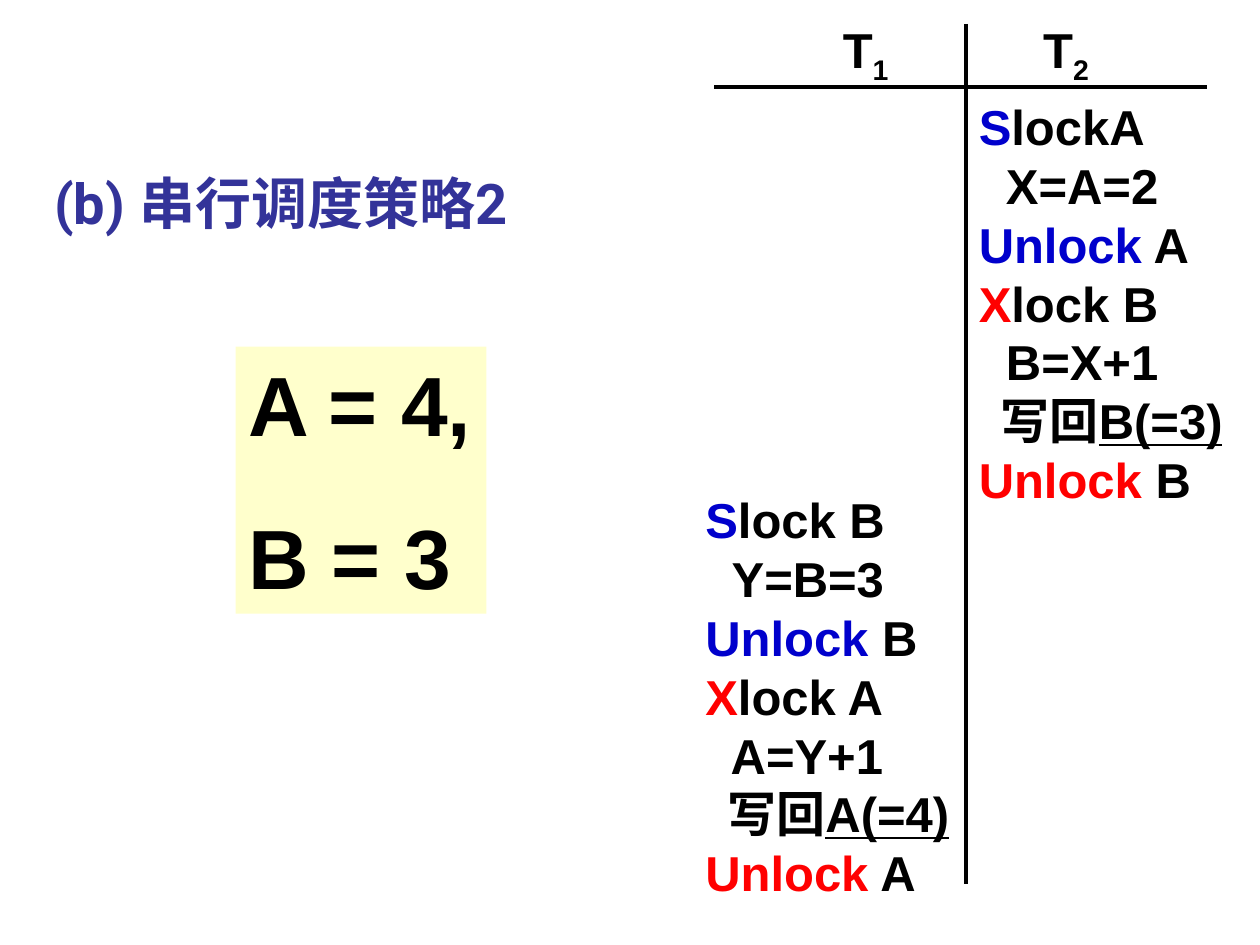
from dataclasses import dataclass

from lxml import etree
from pptx import Presentation
from pptx.dml.color import RGBColor
from pptx.enum.shapes import MSO_CONNECTOR, MSO_SHAPE
from pptx.enum.text import MSO_ANCHOR, MSO_AUTO_SIZE, PP_ALIGN
from pptx.oxml.ns import qn
from pptx.util import Inches, Pt

STRAIGHT = MSO_CONNECTOR.STRAIGHT
RECTANGLE = MSO_SHAPE.RECTANGLE
TOP, MIDDLE, BOTTOM = MSO_ANCHOR.TOP, MSO_ANCHOR.MIDDLE, MSO_ANCHOR.BOTTOM
LEFT, CENTER = PP_ALIGN.LEFT, PP_ALIGN.CENTER
NO_AUTOFIT = MSO_AUTO_SIZE.NONE


@dataclass(frozen=True)
class Theme:
    ink: str = "000000"
    title: str = "333399"
    shared: str = "0000CC"
    exclusive: str = "FF0000"
    result_fill: str = "FFFFCC"
    title_font: str = "Roboto"
    body_font: str = "Arial"
    title_size: int = 32
    code_size: int = 28
    result_size: int = 48
    result_gap: int = 30
    line_pitch: float = 1.2
    rule_width: float = 2.25


@dataclass(frozen=True)
class Span:
    text: str
    color: str = Theme.ink
    underline: bool = False
    subscript: bool = False


@dataclass(frozen=True)
class Area:
    left: float
    top: float
    width: float
    height: float

    def lengths(self) -> list:
        return [Inches(v) for v in (self.left, self.top, self.width, self.height)]


@dataclass(frozen=True)
class Column:
    number: str
    header: Area
    body: Area
    lines: list


THEME = Theme()


def set_format(target, values: dict) -> None:
    for name, value in values.items():
        setattr(target, name, value)


def write_span(para, span: Span, size: int, font: str) -> None:
    run = para.add_run()
    run.text = span.text
    set_format(run.font, {"name": font, "size": Pt(size), "bold": True,
                          "underline": span.underline})
    run.font.color.rgb = RGBColor.from_string(span.color)
    if span.subscript:
        run._r.get_or_add_rPr().set("baseline", "-25000")


def write_lines(box, lines: list, size: int, font: str = THEME.body_font,
                anchor=TOP, align=LEFT, gap: float = 0, pitch=None) -> None:
    frame = box.text_frame
    set_format(frame, {"word_wrap": False, "auto_size": NO_AUTOFIT,
                       "vertical_anchor": anchor})
    for index, spans in enumerate(lines):
        para = frame.add_paragraph() if index else frame.paragraphs[0]
        set_format(para, {"alignment": align,
                          "space_before": Pt(gap if index else 0)})
        if pitch:
            para.line_spacing = Pt(size * pitch)
        for span in spans:
            write_span(para, span, size, font)


def draw_rule(page, start: tuple, end: tuple) -> None:
    rule = page.shapes.add_connector(STRAIGHT, *map(Inches, start + end))
    rule.line.color.rgb = RGBColor.from_string(THEME.ink)
    rule.line.width = Pt(THEME.rule_width)
    etree.SubElement(rule._element.spPr, qn("a:effectLst"))


def lock_steps(read: str, fetch: str, write: str, update: str, stored: str,
               lock_gap: str = " ") -> list:
    """Steps that read one item under a shared lock and write the other."""
    return [
        [Span("S", THEME.shared), Span(f"lock{lock_gap}{read}")],
        [Span(f"  {fetch}")],
        [Span("Unlock", THEME.shared), Span(f" {read}")],
        [Span("X", THEME.exclusive), Span(f"lock {write}")],
        [Span(f"  {update}")],
        [Span("  写回"), Span(stored, underline=True)],
        [Span("Unlock", THEME.exclusive), Span(f" {write}")],
    ]


def draw_column(page, column: Column) -> None:
    header = page.shapes.add_textbox(*column.header.lengths())
    write_lines(header, [[Span("T"), Span(column.number, subscript=True)]],
                THEME.code_size, anchor=MIDDLE, align=CENTER)
    body = page.shapes.add_textbox(*column.body.lengths())
    write_lines(body, column.lines, THEME.code_size, pitch=THEME.line_pitch)


def draw_title(page) -> None:
    title = page.shapes.title
    names = ("left", "top", "width", "height")
    set_format(title, dict(zip(names, Area(0.33, 0.67, 8.52, 1.25).lengths())))
    write_lines(title, [[Span("(b) 串行调度策略2", THEME.title)]],
                THEME.title_size, THEME.title_font, anchor=BOTTOM)


def draw_result(page) -> None:
    box = page.shapes.add_shape(RECTANGLE, *Area(1.87, 2.75, 1.99, 2.12).lengths())
    box.shadow.inherit = False
    box.fill.solid()
    box.fill.fore_color.rgb = RGBColor.from_string(THEME.result_fill)
    box.line.fill.background()
    write_lines(box, [[Span("A = 4,")], [Span("B = 3")]], THEME.result_size,
                gap=THEME.result_gap, pitch=THEME.line_pitch)


def main() -> None:
    deck = Presentation()
    deck.slide_width, deck.slide_height = Inches(10), Inches(7.5)
    page = deck.slides.add_slide(deck.slide_layouts[5])
    draw_title(page)

    # Schedule grid: header rule and column divider
    draw_rule(page, (5.67, 0.69), (9.58, 0.69))
    draw_rule(page, (7.67, 0.19), (7.67, 7.02))

    # Transactions: T2 runs first, then T1
    columns = [
        Column("1", Area(6.08, 0.17, 1.58, 0.5), Area(5.5, 3.84, 2.33, 3.37),
               lock_steps("B", "Y=B=3", "A", "A=Y+1", "A(=4)")),
        Column("2", Area(7.67, 0.17, 1.58, 0.5), Area(7.67, 0.72, 2.33, 3.37),
               lock_steps("A", "X=A=2", "B", "B=X+1", "B(=3)", lock_gap="")),
    ]
    for column in columns:
        draw_column(page, column)

    draw_result(page)
    deck.save("out.pptx")


if __name__ == "__main__":
    main()
